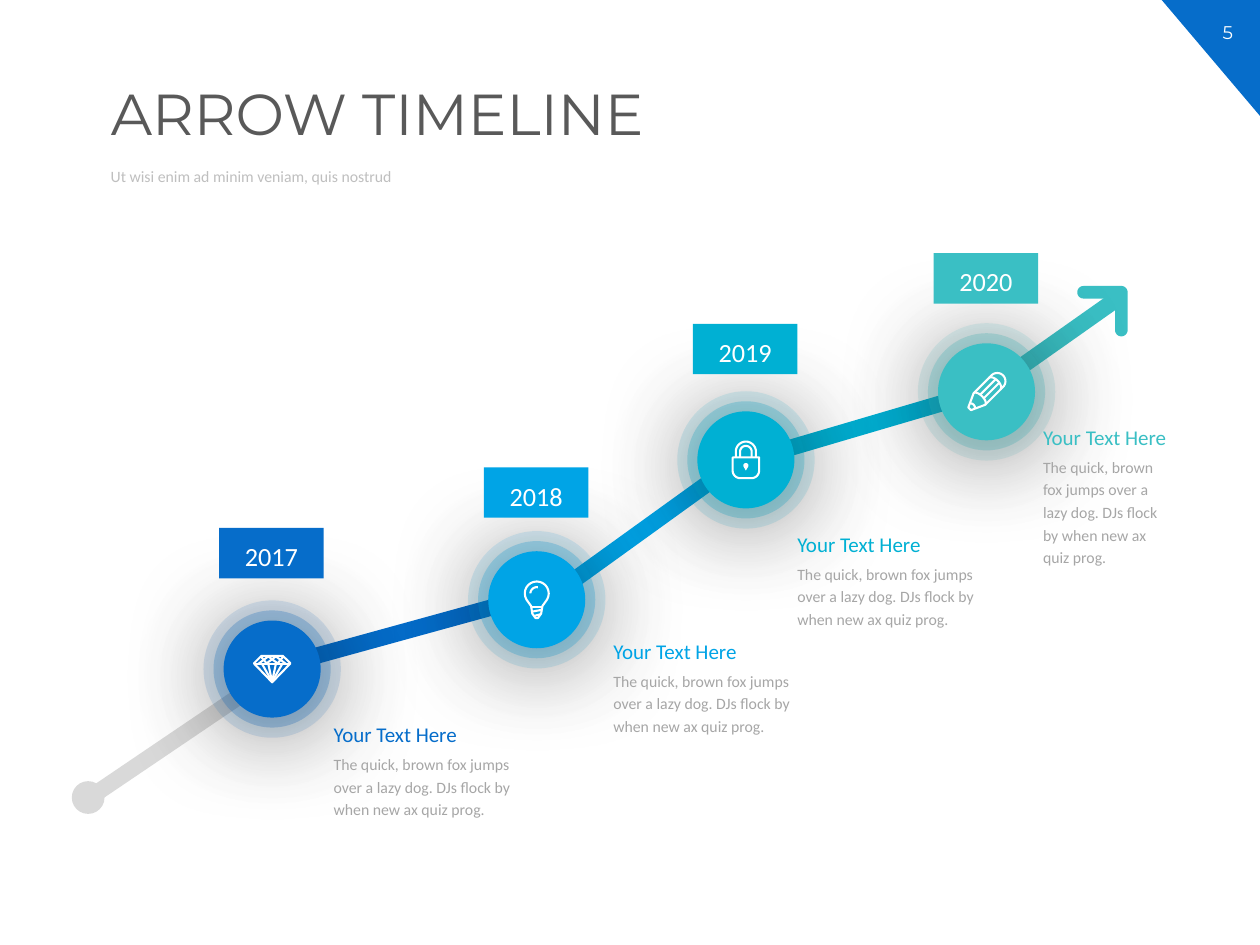
from math import cos, radians, sin

from lxml.etree import SubElement
from pptx import Presentation
from pptx.dml.color import RGBColor
from pptx.enum.shapes import MSO_SHAPE as Shape
from pptx.enum.text import MSO_ANCHOR as Anchor, MSO_AUTO_SIZE as AutoSize, PP_ALIGN as Align
from pptx.oxml.ns import qn
from pptx.util import Inches, Pt

COLORS = {
    "blue": "066DCA", "sky": "00A4E6", "cyan": "00B0D3", "teal": "3ABFC4",
    "start": "D9D9D9", "title": "595959", "subtitle": "BFBFBF", "body": "A6A6A6",
    "white": "FFFFFF", "black": "000000",
}
BODY = "The quick, brown fox jumps over a lazy dog. DJs flock by when new ax quiz prog."


def rgb(name):
    return RGBColor.from_string(COLORS[name])


def write_text(shape, text, size=9, color="body", font="Calibri", align=Align.LEFT,
               spacing=1.2, anchor=Anchor.TOP):
    frame = shape.text_frame
    frame.word_wrap = True
    frame.auto_size = AutoSize.NONE
    frame.vertical_anchor = anchor
    para = frame.paragraphs[0]
    para.alignment = align
    para.line_spacing = spacing
    para.space_before = Pt(0)
    span = para.add_run()
    span.text = text
    span.font.size = Pt(size)
    span.font.name = font
    span.font.color.rgb = rgb(color)


def arc(x, y, rx, ry, start, end, steps=16):
    """Points along an ellipse, angles in degrees, clockwise from the right."""
    angles = [radians(start + (end - start) * i / steps) for i in range(steps + 1)]
    return [(x + rx * cos(a), y + ry * sin(a)) for a in angles]


def mirror(points):
    return [(-x, y) for x, y in points]


def tilt(points, degrees=45):
    c, s = cos(radians(degrees)), sin(radians(degrees))
    return [(x * c - y * s, x * s + y * c) for x, y in points]


# Icons: outlines are closed, strokes open, solids filled; units are 0.01 inch from the centre
def diamond_icon():
    facets = [[(-8, -4), (0, 10)], [(-3, -4), (0, 10)],
              [(-11, -4), (-3, -10), (5, -4)], [(-9, -10), (-4, -4)]]
    return {
        "outlines": [[(-8.5, -10.5), (8.5, -10.5), (14.5, -4.5), (0, 10.5), (-14.5, -4.5)]],
        "strokes": [[(-14, -4), (14, -4)]] + facets + [mirror(f) for f in facets],
    }


def bulb_icon():
    base = [(4.5, 5), (3.5, 11), (1, 14.5)]
    return {
        "outlines": [arc(0, -5, 9.5, 9.5, 150, 390) + base + mirror(base[::-1])],
        "strokes": [[(-4.5, 5.5), (4.5, 5.5)], [(-4, 9.5), (4, 8)], [(-2.5, 13), (3, 11.5)],
                    arc(0, -5, 5, 5, 180, 280)],
    }


def lock_icon():
    shackles = [[(-r, -2)] + arc(0, -6.5, r, r, 180, 360) + [(r, -2)] for r in (8, 4.6)]
    return {
        "outlines": [[(-10.5, -2), (10.5, -2)] + arc(4.5, 8.5, 6, 6, 0, 90)
                     + arc(-4.5, 8.5, 6, 6, 90, 180)],
        "strokes": shackles,
        "solids": [arc(0, 4.5, 2, 2, 150, 390) + [(0, 8.5)]],
    }


def pencil_icon():
    strokes = [arc(0, -9, 6.5, 3.5, 180, 360), arc(0, 8, 6.5, 3, 180, 360),
               arc(0, 16, 2.5, 1.5, 180, 360), [(-2, -12), (-2, 5)], [(2, -12), (2, 5)]]
    outline = arc(0, -12, 6.5, 6.5, 180, 360) + [(6.5, 8), (1.5, 19), (-1.5, 19), (-6.5, 8)]
    return {"outlines": [tilt(outline)], "strokes": [tilt(s) for s in strokes]}


class TimelineSlide:
    def __init__(self, deck):
        self.page = deck.slides.add_slide(deck.slide_layouts[5])
        self.shapes = self.page.shapes

    def title(self, text, left, top, width, height):
        box = self.shapes.title
        box.left, box.top, box.width, box.height = map(Inches, (left, top, width, height))
        write_text(box, text, size=33, color="title", font="Montserrat", spacing=0.9)

    def text(self, text, left, top, width, height, **style):
        box = self.shapes.add_textbox(*map(Inches, (left, top, width, height)))
        write_text(box, text, **style)

    def shape(self, kind, left, top, width, height, color, rotation=0, alpha=None,
              blur=None, parent=None):
        item = (parent or self).shapes.add_shape(kind, *map(Inches, (left, top, width, height)))
        item.rotation = rotation
        item.fill.solid()
        item.fill.fore_color.rgb = rgb(color)
        item.line.fill.background()
        item.shadow.inherit = False
        properties = item.element.spPr
        if alpha:
            fill = properties.find(qn("a:solidFill"))
            SubElement(fill[0], qn("a:alpha"), val=str(alpha * 1000))
        if blur:
            effects = properties.find(qn("a:effectLst"))
            shadow = SubElement(effects, qn("a:outerShdw"), blurRad=str(Pt(blur)),
                                dist=str(Pt(4)), dir="5400000", algn="t", rotWithShape="0")
            tint = SubElement(shadow, qn("a:srgbClr"), val=COLORS["black"])
            SubElement(tint, qn("a:alpha"), val="43000")
        return item

    def outline(self, points, color, filled=False, closed=True, parent=None):
        points = [(Inches(x), Inches(y)) for x, y in points]
        builder = (parent or self).shapes.build_freeform(*points[0])
        builder.add_line_segments(points[1:], close=closed)
        item = builder.convert_to_shape()
        item.shadow.inherit = False
        if filled:
            item.fill.solid()
            item.fill.fore_color.rgb = rgb(color)
            item.line.fill.background()
        else:
            item.fill.background()
            item.line.color.rgb = rgb(color)
            item.line.width = Pt(1.2)

    def badge(self, x, y, color):
        group = self.shapes.add_group_shape()
        for size, alpha, blur in ((1.09, 13, 49), (0.93, 25, 49), (0.77, None, 64)):
            self.shape(Shape.OVAL, x - size / 2, y - size / 2, size, size, color,
                       alpha=alpha, blur=blur, parent=group)

    def icon(self, x, y, parts):
        group = self.shapes.add_group_shape()
        for kind, paths in parts.items():
            for points in paths:
                placed = [(x + px / 100, y + py / 100) for px, py in points]
                self.outline(placed, "white", filled=kind == "solids",
                             closed=kind != "strokes", parent=group)

    def year(self, text, x, top, color):
        box = self.shape(Shape.RECTANGLE, x - 0.42, top, 0.83, 0.4, color)
        write_text(box, text, size=15, color="white", align=Align.CENTER)


def main():
    deck = Presentation()
    deck.slide_width, deck.slide_height = Inches(10), Inches(7.5)
    slide = TimelineSlide(deck)

    # Page corner and headings
    slide.shape(Shape.RIGHT_TRIANGLE, 9.22, 0, 0.78, 0.92, "blue", rotation=180)
    slide.text("5", 9.49, 0.12, 0.51, 0.28, size=10.5, color="white", font="Montserrat",
               align=Align.CENTER, spacing=1)
    slide.title("ARROW TIMELINE", 0.78, 0.63, 8.86, 0.73)
    slide.text("Ut wisi enim ad minim veniam, quis nostrud", 0.78, 1.28, 7.21, 0.26,
               color="subtitle", spacing=0.9, anchor=Anchor.MIDDLE)

    # Arrow: bars, starting dot and head
    for left, top, length, angle, color in (
        (5.82, 3.37, 1.72, 343.6, "cyan"), (4.22, 4.16, 1.72, 324.2, "sky"),
        (2.34, 4.95, 1.72, 344.6, "blue"), (0.6, 5.76, 1.72, 325.9, "start"),
        (7.56, 2.71, 1.47, 324.8, "teal"),
    ):
        slide.shape(Shape.RECTANGLE, left, top, length, 0.13, color, rotation=angle)
    slide.shape(Shape.OVAL, 0.57, 6.2, 0.26, 0.26, "start")
    slide.outline(arc(8.6, 2.32, 0.05, 0.05, 90, 270) + arc(8.9, 2.32, 0.05, 0.05, -90, 0)
                  + arc(8.9, 2.62, 0.05, 0.05, 0, 180) + [(8.85, 2.37)], "teal", filled=True)

    # Milestones: year, colour, badge centre, year top, text corner, text width and height, icon
    milestones = (
        ("2017", "blue", 2.16, 5.31, 4.19, 2.55, 5.64, 1.74, 0.65, diamond_icon),
        ("2018", "sky", 4.26, 4.76, 3.71, 4.77, 4.98, 1.74, 0.65, bulb_icon),
        ("2019", "cyan", 5.92, 3.65, 2.57, 6.23, 4.13, 1.74, 0.65, lock_icon),
        ("2020", "teal", 7.83, 3.11, 2.01, 8.18, 3.28, 1.24, 1.01, pencil_icon),
    )
    for _, color, x, y, *_ in milestones:
        slide.badge(x, y, color)
    for year, color, x, y, year_top, left, top, width, height, icon in milestones:
        slide.text("Your Text Here", left, top, width, 0.33, size=12, color=color)
        slide.text(BODY, left, top + 0.27, width, height)
        slide.year(year, x, year_top, color)
        slide.icon(x, y, icon())

    deck.save("out.pptx")


if __name__ == "__main__":
    main()
